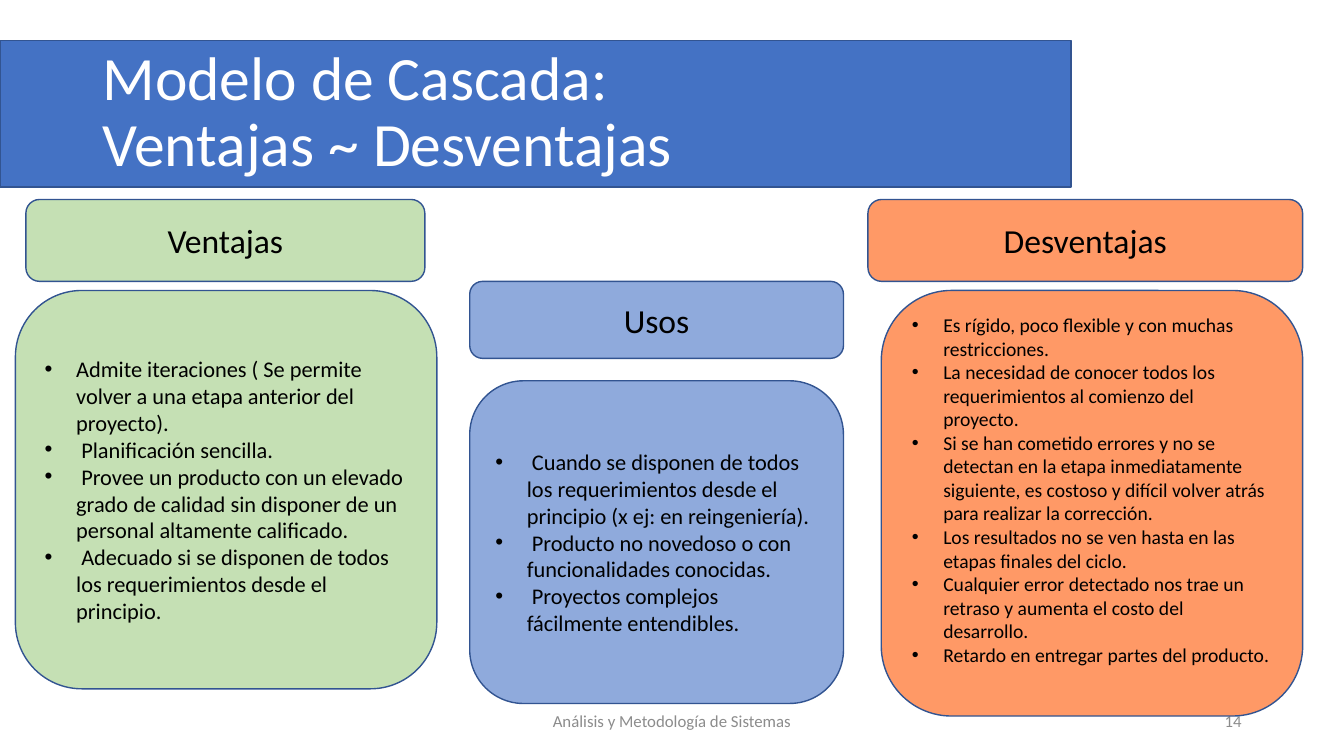
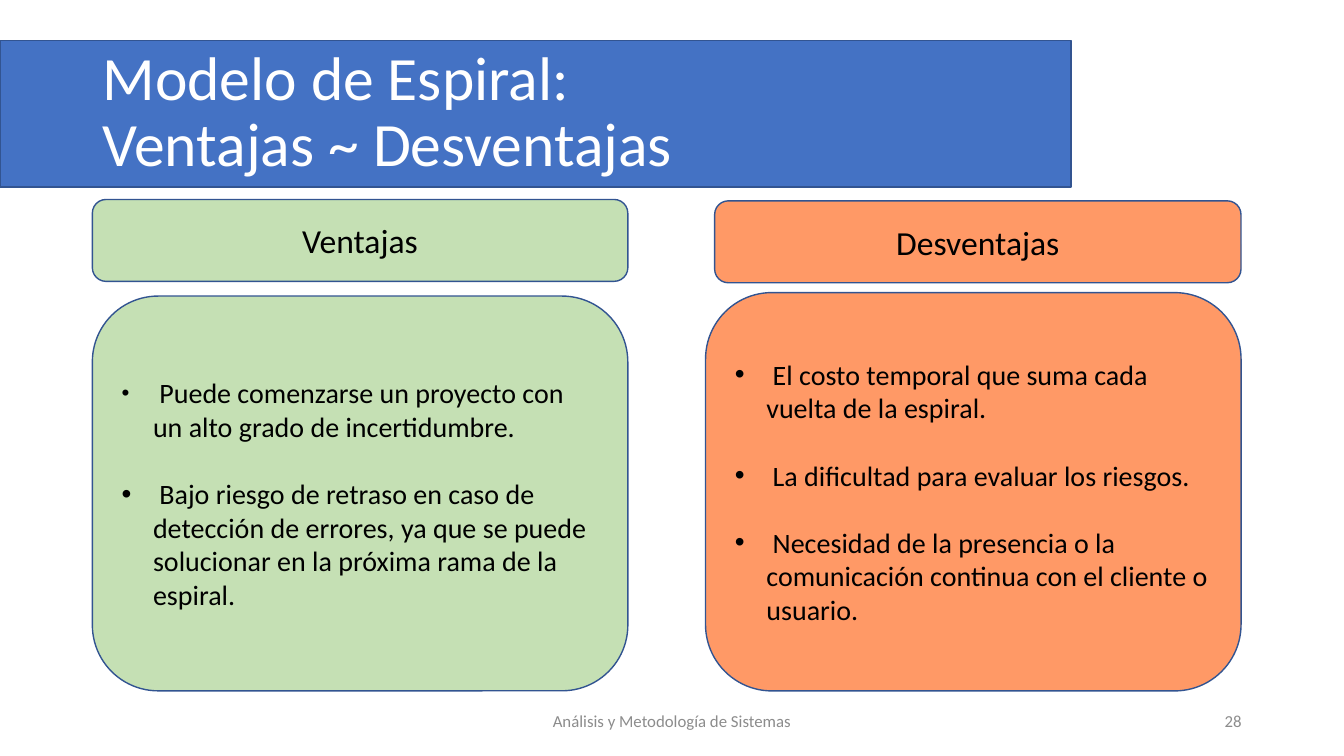
from lxml import etree
from pptx import Presentation
from pptx.dml.color import RGBColor
from pptx.enum.shapes import MSO_SHAPE as Shape
from pptx.enum.text import MSO_ANCHOR as Anchor, MSO_AUTO_SIZE as AutoSize, PP_ALIGN as Align
from pptx.oxml.ns import qn
from pptx.util import Pt

BLUE, OUTLINE, GREY = "4472C4", "325491", "8C8C8C"
GREEN, ORANGE, LIGHT_BLUE = "C5E0B4", "FF9966", "8FAADC"
BLACK, WHITE = "000000", "FFFFFF"
FONT = "Calibri"
FOOTER = "Análisis y Metodología de Sistemas"
TITLE_AREA = {"left": 66, "top": 29, "width": 699, "height": 104}
BULLET_INDENT = 22.5

# Boxes are (left, top, width, height) in points.
PAGES = [
    {
        "title": "Modelo de Cascada:\vVentajas ~ Desventajas",
        "number": "14",
        "columns": [
            {
                "heading": "Ventajas", "color": GREEN, "size": 16,
                "heading_box": (18.5, 142.5, 285, 58.5),
                "list_box": (11, 207.5, 301, 284.5),
                "items": [
                    "Admite iteraciones ( Se permite volver a una etapa anterior del proyecto).",
                    " Planificación sencilla.",
                    " Provee un producto con un elevado grado de calidad sin disponer de un "
                    "personal altamente calificado.",
                    " Adecuado si se disponen de todos los requerimientos desde el principio.",
                ],
            },
            {
                "heading": "Desventajas", "color": ORANGE, "size": 14,
                "heading_box": (620, 142.5, 310.5, 58.5),
                "list_box": (629.5, 207.5, 301, 304),
                "bottom_margin": 23,
                "items": [
                    "Es rígido, poco flexible y con muchas restricciones.",
                    "La necesidad de conocer todos los requerimientos al comienzo del proyecto.",
                    "Si se han cometido errores y no se detectan en la etapa inmediatamente "
                    "siguiente, es costoso y difícil volver atrás para realizar la corrección.",
                    "Los resultados no se ven hasta en las etapas finales del ciclo.",
                    "Cualquier error detectado nos trae un retraso y aumenta el costo del desarrollo.",
                    "Retardo en entregar partes del producto.",
                ],
            },
            {
                "heading": "Usos", "color": LIGHT_BLUE, "size": 16,
                "heading_box": (335.5, 201, 267, 55),
                "list_box": (335.5, 272, 267, 230.5),
                "items": [
                    " Cuando se disponen de todos los requerimientos desde el principio "
                    "(x ej: en reingeniería).",
                    " Producto no novedoso o con funcionalidades conocidas.",
                    " Proyectos complejos fácilmente entendibles.",
                ],
            },
        ],
    },
    {
        "title": "Modelo de Espiral:\vVentajas ~ Desventajas",
        "number": "28",
        "columns": [
            {
                "heading": "Ventajas", "color": GREEN, "size": 20, "gap": 24,
                "heading_box": (66, 142.5, 382.5, 58.5),
                "list_box": (66, 211.5, 382.5, 282),
                "first_bullet_percent": 80,
                "items": [
                    " Puede comenzarse un proyecto con un alto grado de incertidumbre.",
                    " Bajo riesgo de retraso en caso de detección de errores, ya que se puede "
                    "solucionar en la próxima rama de la espiral.",
                ],
            },
            {
                "heading": "Desventajas", "color": ORANGE, "size": 20, "gap": 24,
                "heading_box": (510.5, 143.5, 376, 58.5),
                "list_box": (504, 209, 382.5, 284.5),
                "items": [
                    " El costo temporal que suma cada vuelta de la espiral.",
                    " La dificultad para evaluar los riesgos.",
                    " Necesidad de la presencia o la comunicación continua con el cliente o usuario.",
                ],
            },
        ],
    },
]


def add_panel(page, preset, bounds, color):
    panel = page.shapes.add_shape(preset, *map(Pt, bounds))
    panel.shadow.inherit = False
    panel.fill.solid()
    panel.fill.fore_color.rgb = RGBColor.from_string(color)
    panel.line.color.rgb = RGBColor.from_string(OUTLINE)
    panel.line.width = Pt(1)
    return panel


def write(box, lines, size, color=BLACK, align=Align.LEFT):
    """Fill a box with one paragraph per line and return the paragraphs."""
    frame = box.text_frame
    frame.word_wrap = True
    frame.auto_size = AutoSize.NONE
    frame.vertical_anchor = Anchor.MIDDLE
    frame.text = "\n".join(lines)
    for para in frame.paragraphs:
        para.alignment = align
        for span in para.runs:
            span.font.name = FONT
            span.font.size = Pt(size)
            span.font.color.rgb = RGBColor.from_string(color)
    return frame.paragraphs


deck = Presentation()
deck.slide_width, deck.slide_height = Pt(960), Pt(540)
layout = deck.slide_layouts.get_by_name("Title Only")

for number, content in enumerate(PAGES):
    page = deck.slides.add_slide(layout)

    # The first page lends its band to the layout, behind every title.
    if number == 0:
        band = add_panel(page, Shape.RECTANGLE, (0, 29, 765, 104.5), BLUE)
        layout.shapes.element.insert(2, band.element)

    title = page.shapes.title
    for name, value in TITLE_AREA.items():
        setattr(title, name, Pt(value))
    write(title, [content["title"]], 44, WHITE)[0].line_spacing = 0.9

    for text, left, width, align in [
        (FOOTER, 318, 324, Align.CENTER),
        (content["number"], 678, 216, Align.RIGHT),
    ]:
        box = page.shapes.add_textbox(Pt(left), Pt(500.5), Pt(width), Pt(29))
        write(box, [text], 12, GREY, align)

    for column in content["columns"]:
        heading = add_panel(page, Shape.ROUNDED_RECTANGLE, column["heading_box"], column["color"])
        write(heading, [column["heading"]], 24, align=Align.CENTER)

        panel = add_panel(page, Shape.ROUNDED_RECTANGLE, column["list_box"], column["color"])
        panel.text_frame.margin_bottom = Pt(column.get("bottom_margin", 3.6))
        for index, para in enumerate(write(panel, column["items"], column["size"])):
            para.space_before = Pt(column.get("gap", 0) if index else 0)
            properties = para._p.get_or_add_pPr()
            properties.set("marL", str(Pt(BULLET_INDENT)))
            properties.set("indent", str(-Pt(BULLET_INDENT)))
            percent = column.get("first_bullet_percent", 100) if index == 0 else 100
            for tag, attribute, value in [
                ("a:buSzPct", "val", str(percent * 1000)),
                ("a:buFont", "typeface", "Arial"),
                ("a:buChar", "char", "•"),
            ]:
                etree.SubElement(properties, qn(tag)).set(attribute, value)

deck.save("out.pptx")
